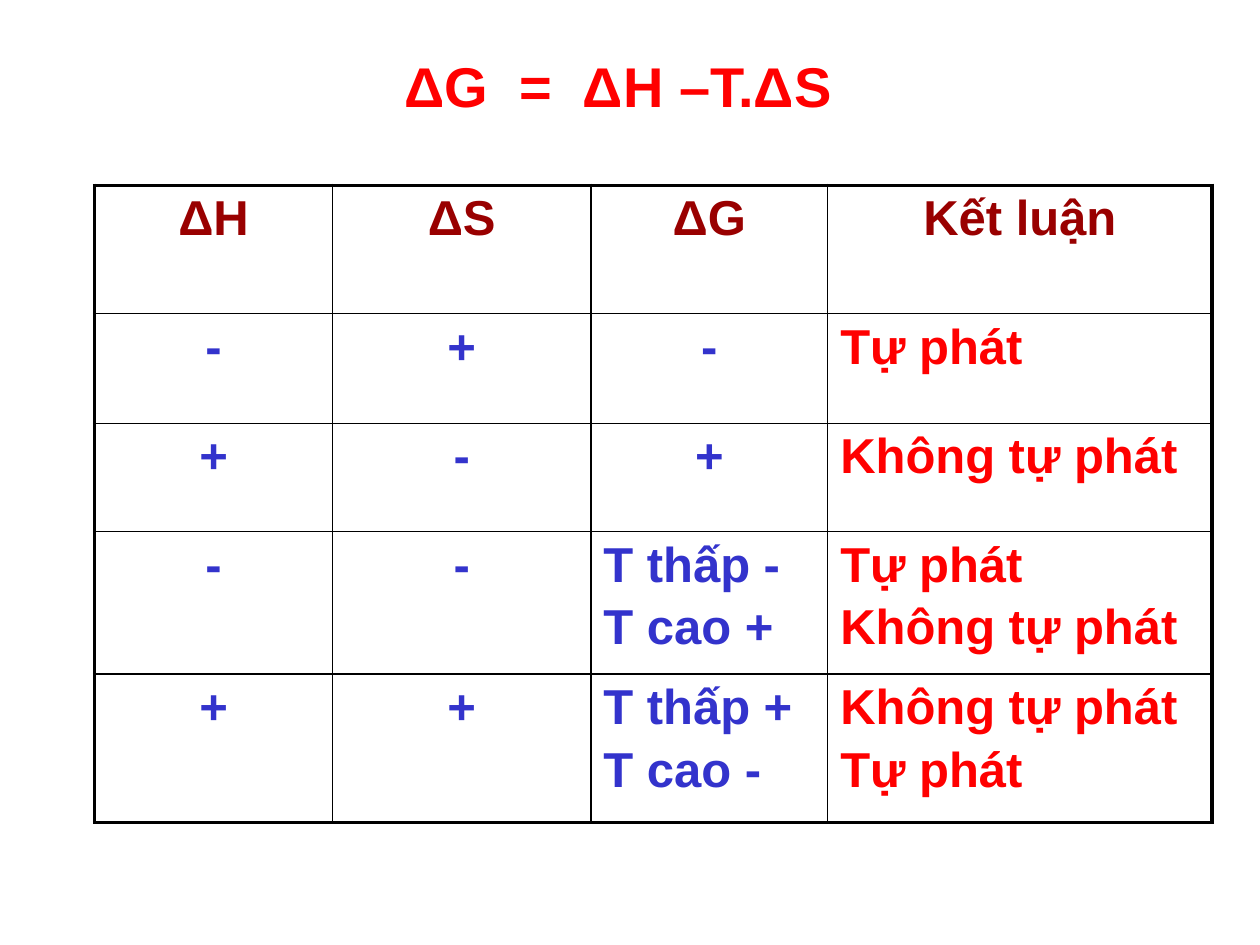
from lxml import etree
from pptx import Presentation
from pptx.dml.color import RGBColor
from pptx.enum.text import MSO_ANCHOR, MSO_AUTO_SIZE, PP_ALIGN
from pptx.oxml.ns import qn
from pptx.util import Inches, Pt

LEFT, CENTER = PP_ALIGN.LEFT, PP_ALIGN.CENTER
TOP = MSO_ANCHOR.TOP
GROW = MSO_AUTO_SIZE.SHAPE_TO_FIT_TEXT

COLORS = {"head": "990000", "sign": "3333CC", "result": "FF0000", "line": "000000"}
THIN, THICK = 1, 2.25
COLS = [1.89, 2.05, 1.88, 3.05]
ROWS = [1.02, 0.87, 0.86, 1.13, 1.18]
DATA = [
    ["ΔH", "ΔS", "ΔG", "Kết luận"],
    ["-", "+", "-", "Tự phát"],
    ["+", "-", "+", "Không tự phát"],
    ["-", "-", "T thấp -\nT cao +", "Tự phát\nKhông tự phát"],
    ["+", "+", "T thấp +\nT cao -", "Không tự phát\nTự phát"],
]


def style(font, color, size):
    values = {"name": "Arial", "size": Pt(size), "bold": True}
    for key, value in values.items():
        setattr(font, key, value)
    font.color.rgb = RGBColor.from_string(COLORS[color])


def write(frame, text, color, size, align):
    frame.text = text
    for i, para in enumerate(frame.paragraphs):
        para.alignment = align
        if i:
            para.space_before = Pt(4.5)
        for run in para.runs:
            style(run.font, color, size)


def border(cell, widths):
    props = cell._tc.get_or_add_tcPr()
    for side, width in widths.items():
        line = etree.SubElement(props, qn("a:ln" + side), w=str(Pt(width)))
        fill = etree.SubElement(line, qn("a:solidFill"))
        etree.SubElement(fill, qn("a:srgbClr"), val=COLORS["line"])


def add_title(slide):
    title = slide.shapes.title
    box = {"left": 3.11, "top": 0.36, "width": 3.94, "height": 1.43}
    for key, value in box.items():
        setattr(title, key, Inches(value))
    frame = title.text_frame
    layout = {"word_wrap": True, "vertical_anchor": TOP, "auto_size": GROW}
    for key, value in layout.items():
        setattr(frame, key, value)
    write(frame, "ΔG  =  ΔH –T.ΔS", "result", 32, LEFT)


def fill_cell(cell, text, row, col):
    # Outer edges are thick, inner lines are thin
    last_row, last_col = len(ROWS) - 1, len(COLS) - 1
    edges = {"L": col == 0, "R": col == last_col, "T": row == 0, "B": row == last_row}
    border(cell, {side: THICK if outer else THIN for side, outer in edges.items()})
    cell.fill.background()
    # Headings and lone signs are centred
    color = "head" if row == 0 else "result" if col == last_col else "sign"
    align = CENTER if row == 0 or len(text) == 1 else LEFT
    write(cell.text_frame, text, color, 28, align)


def add_grid(slide):
    frame = slide.shapes.add_table(
        len(ROWS), len(COLS), Inches(0.75), Inches(1.47),
        Inches(sum(COLS)), Inches(sum(ROWS)))
    table = frame.table
    table.first_row = table.horz_banding = False
    for col, width in zip(table.columns, COLS):
        col.width = Inches(width)
    for row, height in zip(table.rows, ROWS):
        row.height = Inches(height)
    for r, texts in enumerate(DATA):
        for c, text in enumerate(texts):
            fill_cell(table.cell(r, c), text, r, c)


def main():
    deck = Presentation()
    deck.slide_width, deck.slide_height = Inches(10), Inches(7.5)
    slide = deck.slides.add_slide(deck.slide_layouts[5])
    add_title(slide)
    add_grid(slide)
    deck.save("out.pptx")


main()
